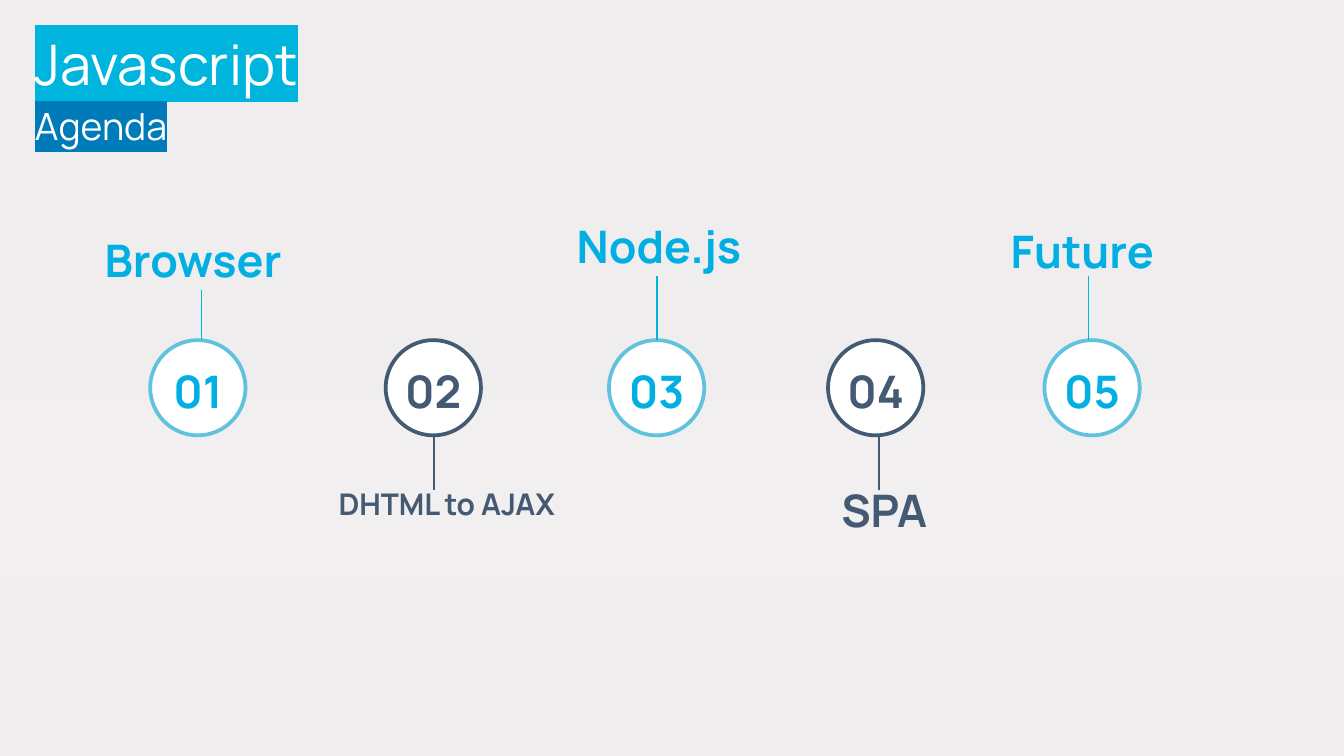
from lxml import etree
from pptx import Presentation
from pptx.dml.color import RGBColor
from pptx.enum.shapes import MSO_CONNECTOR, MSO_SHAPE
from pptx.enum.text import MSO_ANCHOR, MSO_AUTO_SIZE, PP_ALIGN
from pptx.oxml.ns import qn
from pptx.util import Cm, Pt

OVAL = MSO_SHAPE.OVAL
LINE = MSO_CONNECTOR.STRAIGHT
TOP, MIDDLE = MSO_ANCHOR.TOP, MSO_ANCHOR.MIDDLE
LEFT, CENTER = PP_ALIGN.LEFT, PP_ALIGN.CENTER
FIXED = MSO_AUTO_SIZE.NONE

FONT = "Manrope"
COLORS = {
    "white": "FFFFFF", "cyan": "00B5DD", "blue": "007BB9",
    "sky": "01AFE2", "ring": "61C2DD", "slate": "435A72",
}


def rgb(name):
    return RGBColor.from_string(COLORS[name])


def style(shape, anchor, align, space, size, color, bold):
    frame = shape.text_frame
    frame.word_wrap = True
    frame.auto_size = FIXED
    frame.vertical_anchor = anchor
    frame.margin_left = frame.margin_right = 0
    frame.margin_top = frame.margin_bottom = 0
    for para in frame.paragraphs:
        para.alignment = align
        para.line_spacing = space
        para.space_before = Pt(0)
        for run in para.runs:
            run.font.name = FONT
            run.font.size = Pt(size)
            run.font.bold = bold
            run.font.color.rgb = rgb(color)


prs = Presentation()
prs.slide_width, prs.slide_height = Cm(25.4), Cm(14.29)
slide = prs.slides.add_slide(prs.slide_layouts[5])
shapes = slide.shapes

fill = slide.background.fill
fill.gradient()
fill.gradient_angle = 270
stops = next(slide.element.iter(qn("a:gsLst")))
for stop in list(stops):
    stops.remove(stop)
for pos, tint in ((0, "EFEDEE"), (53, "F1EFF0"), (77, "EFEDEE"), (100, "EFEBEC")):
    stop = etree.SubElement(stops, qn("a:gs"), pos=str(pos * 1000))
    etree.SubElement(stop, qn("a:srgbClr"), val=tint)

title = shapes.title
title.left, title.top = Cm(0.66), Cm(0.36)
title.width, title.height = Cm(9.3), Cm(2.82)
title.text_frame.text = "Javascript\nAgenda"
style(title, TOP, LEFT, 1.15, 30, "white", False)
title.text_frame.paragraphs[1].runs[0].font.size = Pt(20)
for para, name in zip(title.text_frame.paragraphs, ("cyan", "blue")):
    ink = para.runs[0].font.fill
    props = para.runs[0]._r.get_or_add_rPr()
    mark = etree.Element(qn("a:highlight"))
    etree.SubElement(mark, qn("a:srgbClr"), val=COLORS[name])
    props.find(qn("a:solidFill")).addnext(mark)

SIZE, ROW = 1.8, 6.43
STEPS = [
    ("Browser", 1.98, 4.32, 3.81, 24, LEFT, 2.84, 3.81, 5.49),
    ("DHTML to AJAX", 5.79, 8.94, 5.31, 16, CENTER, 7.29, 8.2, 9.27),
    ("Node.js", 10.9, 4.04, 3.35, 24, LEFT, 11.51, 12.42, 5.21),
    ("SPA", 15.9, 9.04, 1.88, 24, LEFT, 15.65, 16.61, 9.27),
    ("Future", 19.1, 4.14, 2.84, 24, LEFT, 19.74, 20.57, 5.21),
]
for num, (text, left, top, width, size, align, ring, stem, end) in enumerate(STEPS, 1):
    above = num % 2 == 1
    ink, edge, tone = ("sky", "ring", "cyan") if above else ("slate",) * 3

    label = shapes.add_textbox(Cm(left), Cm(top), Cm(width), Cm(1.09))
    label.text_frame.text = text
    style(label, MIDDLE, align, 1.1, size, ink, True)

    circle = shapes.add_shape(OVAL, Cm(ring), Cm(ROW), Cm(SIZE), Cm(SIZE))
    circle.shadow.inherit = False
    circle.fill.solid()
    circle.fill.fore_color.rgb = rgb("white")
    circle.line.color.rgb = rgb(edge)
    circle.line.width = Pt(2)
    circle.text_frame.text = f"{num:02d}"
    style(circle, MIDDLE, CENTER, 1.1, 24, ink, True)

    start = ROW if above else ROW + SIZE
    link = shapes.add_connector(LINE, Cm(stem), Cm(start), Cm(stem), Cm(end))
    link.line.color.rgb = rgb(tone)
    link.line.width = Pt(0.75)
    etree.SubElement(link._element.spPr, qn("a:effectLst"))

prs.save("out.pptx")
